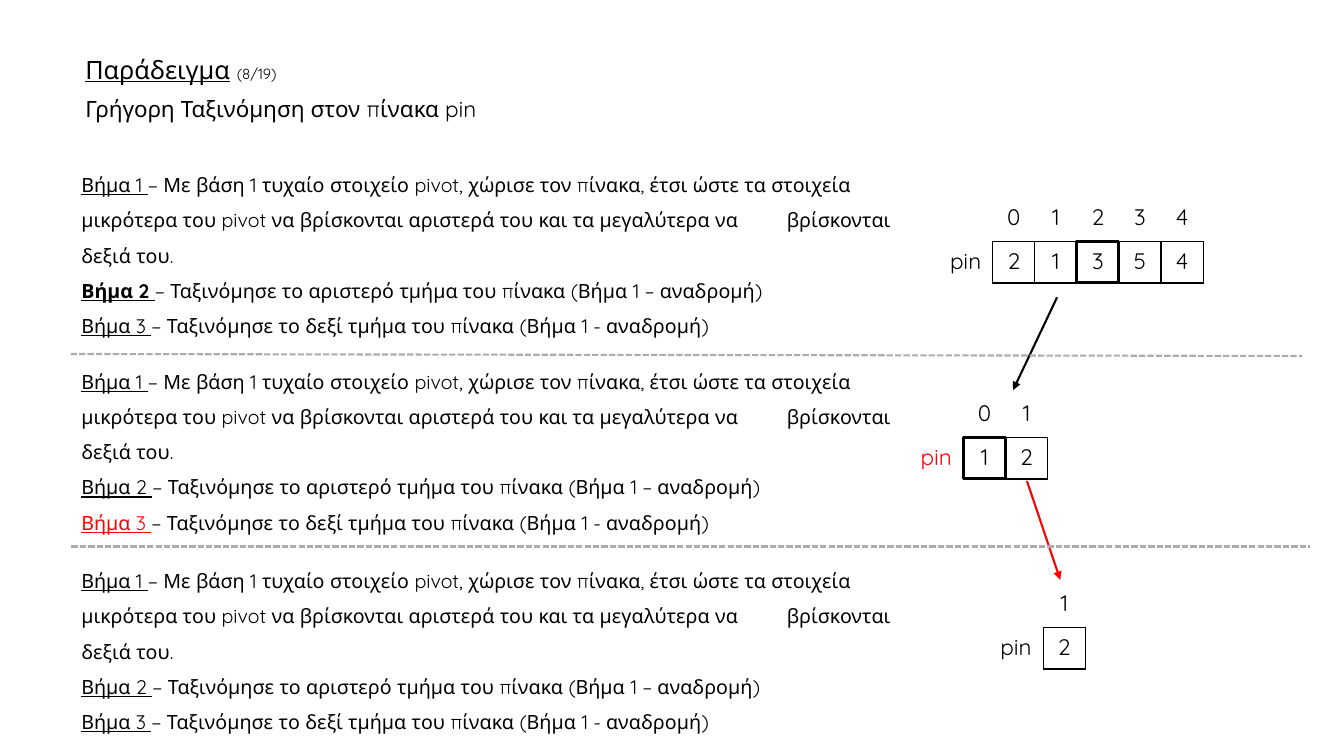
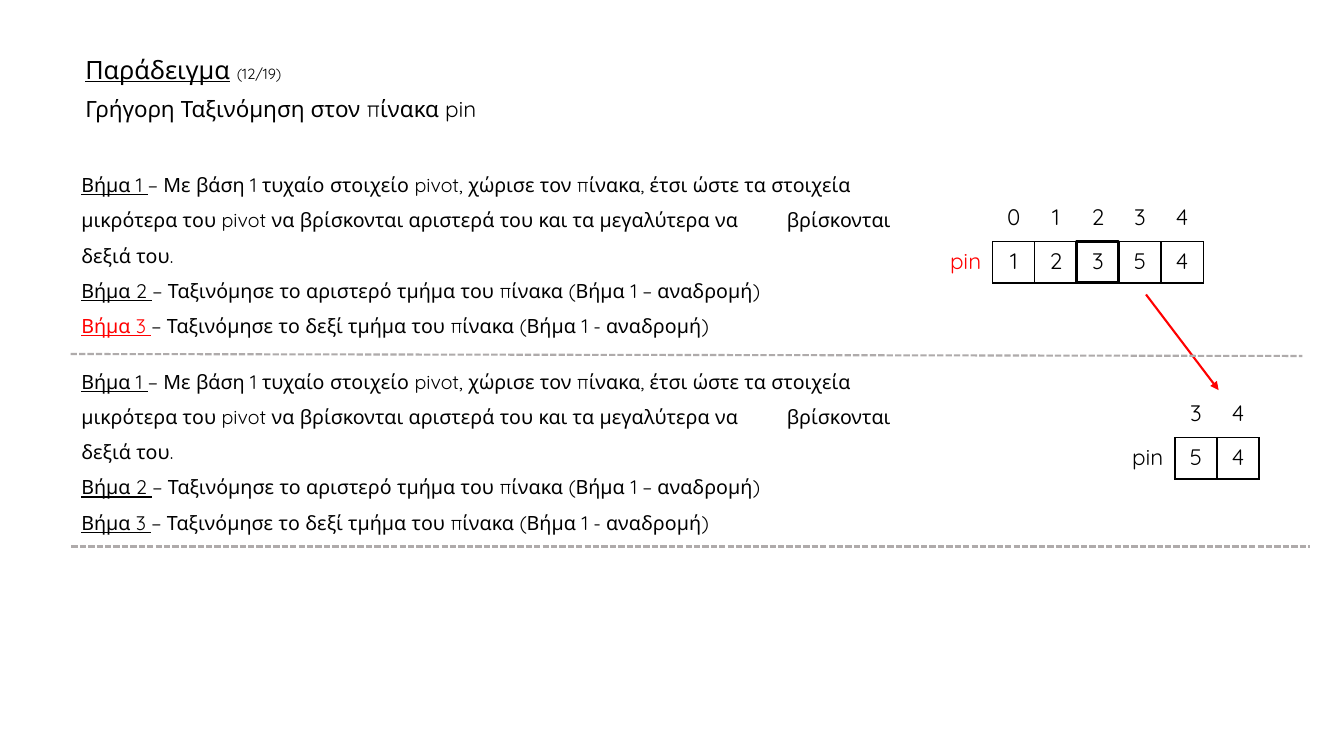
from dataclasses import dataclass
from typing import Optional

from pptx import Presentation
from pptx import util as u
from pptx.dml.color import RGBColor
from pptx.enum import dml, shapes, text
from pptx.oxml import parse_xml
from pptx.oxml.ns import nsdecls

BLACK = RGBColor(0, 0, 0)
RED = RGBColor(0xFF, 0, 0)
GREY = RGBColor(0xAF, 0xAB, 0xAB)
FONT = "Quicksand"
PLAIN_TABLE = "{2D5ABB26-0587-4C30-8999-92F81FD0307C}"

LABEL_WIDTH = 1.37
CELL_WIDTH = 1.06
INDEX_HEIGHT = 1.09
CELL_HEIGHT = 1.04

TITLE_BOX = (1.9, 1.32, 27.41, 1.96)
STEPS_LEFT, STEPS_WIDTH, STEPS_HEIGHT = 1.8, 21.11, 4.62
STEPS_TOPS = (3.94, 8.89, 13.92)
ARRAY_TOPS = (5, 9.94, 14.73)
DIVIDERS = ((1.78, 8.92, 32.82, 8.97), (1.8, 13.77, 33.02, 13.77))

STEPS = (
    "− Με βάση 1 τυχαίο στοιχείο pivot, χώρισε τον πίνακα, έτσι ώστε τα στοιχεία "
    "\tμικρότερα του pivot να βρίσκονται αριστερά του και τα μεγαλύτερα να "
    "\tβρίσκονται δεξιά του.",
    "− Ταξινόμησε το αριστερό τμήμα του πίνακα (Βήμα 1 – αναδρομή)",
    "− Ταξινόμησε το δεξί τμήμα του πίνακα (Βήμα 1 - αναδρομή)",
)


@dataclass
class Level:
    left: float
    first_index: int
    values: tuple
    pivot: Optional[int] = None
    active_step: Optional[int] = None
    arrow: Optional[tuple] = None

    @property
    def accent(self):
        return RED if self.active_step == 3 else BLACK


def set_font(font, size, color=BLACK):
    font.name = FONT
    font.size = u.Pt(size)
    font.color.rgb = color


def add_span(para, words, underline=False):
    span = para.add_run()
    span.text = words
    if underline:
        span.font.underline = True
    return span


def add_text_box(page, box):
    frame = page.shapes.add_textbox(*map(u.Cm, box)).text_frame
    frame.word_wrap = True
    return frame


def add_title(page, box, number):
    frame = add_text_box(page, box)
    heading, subtitle = frame.paragraphs[0], frame.add_paragraph()
    for para, size in ((heading, 18), (subtitle, 16)):
        para.line_spacing = 0.9
        para.space_before = u.Pt(10)
        set_font(para.font, size)
    add_span(heading, "Παράδειγμα", underline=True)
    add_span(heading, " ")
    add_span(heading, f"({number}/19)").font.size = u.Pt(10.5)
    add_span(subtitle, "Γρήγορη Ταξινόμηση στον πίνακα pin")


def add_steps(page, box, level):
    frame = add_text_box(page, box)
    frame.auto_size = text.MSO_AUTO_SIZE.SHAPE_TO_FIT_TEXT
    for number, words in enumerate(STEPS, 1):
        para = frame.paragraphs[0] if number == 1 else frame.add_paragraph()
        para.line_spacing = 1.5
        set_font(para.font, 14)
        name = add_span(para, f"Βήμα {number} ", underline=True)
        if number == level.active_step:
            if number == 2:
                name.font.bold = True
            else:
                name.font.color.rgb = level.accent
        add_span(para, words)


def set_borders(cell, sides):
    properties = cell._tc.get_or_add_tcPr()
    for place, side in enumerate(sides):
        properties.insert(place, parse_xml(
            f'<a:ln{side} {nsdecls("a")} w="{u.Pt(1)}"><a:solidFill>'
            f'<a:srgbClr val="{BLACK}"/></a:solidFill></a:ln{side}>'))


def fill_cell(cell, words, sides, color=BLACK):
    cell.fill.background()
    para = cell.text_frame.paragraphs[0]
    para.alignment = text.PP_ALIGN.CENTER
    set_font(para.font, 16, color)
    if words:
        add_span(para, words)
    set_borders(cell, sides)


def add_array(page, left, top, level):
    count = len(level.values)
    holder = page.shapes.add_table(
        2, count + 1, u.Cm(left), u.Cm(top),
        u.Cm(LABEL_WIDTH + count * CELL_WIDTH), u.Cm(INDEX_HEIGHT + CELL_HEIGHT))
    holder.element.xpath(".//a:tableStyleId")[0].text = PLAIN_TABLE
    table = holder.table
    table.first_row = table.horz_banding = False
    table.rows[0].height = u.Cm(INDEX_HEIGHT)
    table.rows[1].height = u.Cm(CELL_HEIGHT)
    table.columns[0].width = u.Cm(LABEL_WIDTH)
    fill_cell(table.cell(0, 0), "", ())
    fill_cell(table.cell(1, 0), "pin", "R", level.accent)
    for column, value in enumerate(level.values, 1):
        table.columns[column].width = u.Cm(CELL_WIDTH)
        fill_cell(table.cell(0, column), str(level.first_index + column - 1), "B")
        fill_cell(table.cell(1, column), str(value), "LRTB")
    if level.pivot is not None:
        marker = page.shapes.add_shape(
            shapes.MSO_SHAPE.RECTANGLE,
            u.Cm(left + LABEL_WIDTH + level.pivot * CELL_WIDTH),
            u.Cm(top + INDEX_HEIGHT), u.Cm(CELL_WIDTH), u.Cm(CELL_HEIGHT))
        marker.shadow.inherit = False
        marker.fill.background()
        marker.line.color.rgb = BLACK
        marker.line.width = u.Pt(2.25)


def add_line(page, ends, color):
    line = page.shapes.add_connector(
        shapes.MSO_CONNECTOR.STRAIGHT, *map(u.Cm, ends))
    line.line.color.rgb = color
    line.line.width = u.Pt(1.5)
    line.element.spPr.append(parse_xml(f'<a:effectLst {nsdecls("a")}/>'))
    return line


def add_divider(page, ends):
    add_line(page, ends, GREY).line.dash_style = dml.MSO_LINE.SQUARE_DOT


def add_arrow(page, ends, color):
    arrow = add_line(page, ends, color)
    arrow.line._get_or_add_ln().append(
        parse_xml(f'<a:tailEnd {nsdecls("a")} type="triangle"/>'))


def add_example(deck, number, levels):
    page = deck.slides.add_slide(deck.slide_layouts[6])
    add_title(page, TITLE_BOX, number)
    for level, steps_top, array_top in zip(levels, STEPS_TOPS, ARRAY_TOPS):
        add_steps(page, (STEPS_LEFT, steps_top, STEPS_WIDTH, STEPS_HEIGHT), level)
        add_array(page, level.left, array_top, level)
        if level.arrow:
            add_arrow(page, level.arrow, level.accent)
    for ends in DIVIDERS:
        add_divider(page, ends)


deck = Presentation()
deck.slide_width, deck.slide_height = u.Cm(33.87), u.Cm(19.05)
add_example(deck, 8, (
    Level(23.65, 0, (2, 1, 3, 5, 4), 2, 2, (26.64, 7.49, 25.53, 9.83)),
    Level(22.91, 0, (1, 2), 0, 3, (25.88, 12.12, 26.72, 14.61)),
    Level(24.92, 1, (2,)),
))
add_example(deck, 12, (
    Level(23.65, 0, (1, 2, 3, 5, 4), 2, 3, (28.88, 7.42, 30.71, 9.83)),
    Level(28.24, 3, (5, 4)),
))
deck.save("out.pptx")
